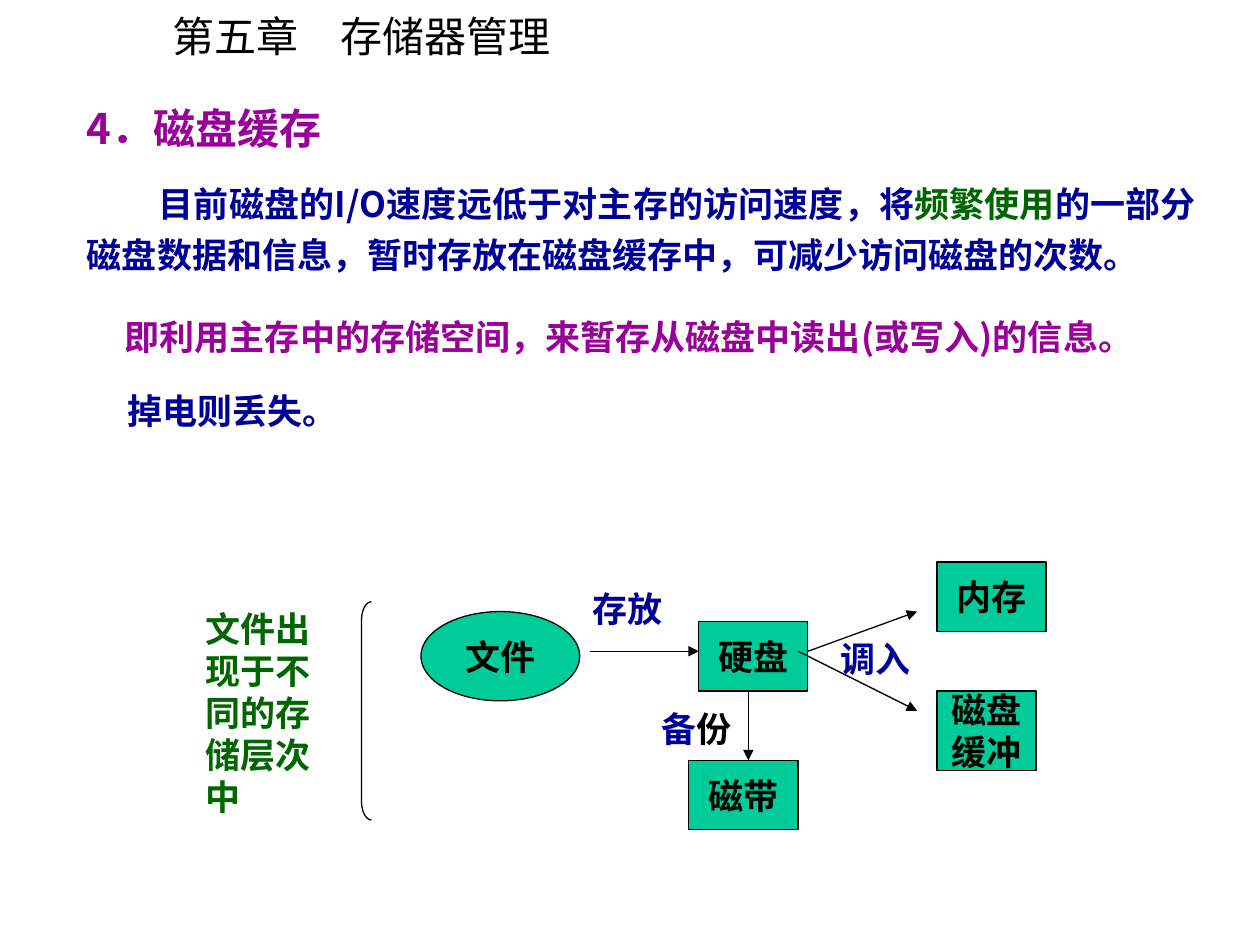
from lxml import etree
from pptx import Presentation
from pptx import util as u
from pptx.dml.color import RGBColor
from pptx.enum import shapes, text
from pptx.oxml.ns import qn

BLACK = RGBColor(0x00, 0x00, 0x00)
BLUE = RGBColor(0x00, 0x00, 0x99)
GREEN = RGBColor(0x00, 0x66, 0x00)
PURPLE = RGBColor(0x99, 0x00, 0x99)
TEAL = RGBColor(0x00, 0xCC, 0x99)
SANS, SERIF = "Noto Sans CJK SC", "Times New Roman"

TITLE = "第五章　存储器管理"
BODY = [
    (0, 0, 24, [("4．磁盘缓存", PURPLE)]),
    (0.57, 12.5, 20, [
        ("目前磁盘的I/O速度远低于对主存的访问速度，将", BLUE),
        ("频繁使用", GREEN),
        ("的一部分磁盘数据和信息，暂时存放在磁盘缓存中，可减少访问磁盘的次数。", BLUE)]),
    (0.3, 18.5, 20, [("即利用主存中的存储空间，来暂存从磁盘中读出(或写入)的信息。", PURPLE)]),
    (0.32, 13.5, 20, [("掉电则丢失。", BLUE)]),
]
KIND = shapes.MSO_SHAPE
NODES = [
    (KIND.OVAL, (23, 5, 16, 9), ["文件"]),
    (KIND.RECTANGLE, (51, 6, 11, 7), ["硬盘"]),
    (KIND.RECTANGLE, (75, 0, 11, 7), ["内存"]),
    (KIND.RECTANGLE, (75, 13, 10, 8), ["磁盘", "缓冲"]),
    (KIND.RECTANGLE, (50, 20, 11, 7), ["磁带"]),
]
LABELS = [
    ((39, 2, 11, 5.5), [("存放", BLUE)]),
    ((64, 7, 11, 5.5), [("调入", BLUE)]),
    ((46, 14, 11, 5.5), [("备", BLUE), ("份", BLACK)]),
    ((0, 4, 16, 22.5), [("文件出现于不同的存储层次中", GREEN)]),
]
ARROWS = [(40, 9, 51, 9), (62, 9, 73, 5), (61, 9, 73, 15), (56, 13, 56, 20)]
BRACE = (17, 4, 1, 22)

deck = Presentation()
deck.slide_width, deck.slide_height = u.Inches(10), u.Inches(7.5)
slide = deck.slides.add_slide(deck.slide_layouts[1])
UNIT = deck.slide_width * 0.63 / 80
LEFT, TOP = u.Inches(1.53), u.Inches(4.46)


def spot(x, y):
    return round(LEFT + x * UNIT), round(TOP + y * UNIT)


def area(x, y, w, h):
    return *spot(x, y), round(w * UNIT), round(h * UNIT)


def apply(item, **kit):
    for key, val in kit.items():
        setattr(item, key, val)


def write(para, runs, size, face, bold=True):
    for words, tone in runs:
        run = para.add_run()
        run.text = words
        apply(run.font, size=u.Pt(size), bold=bold, name=face)
        run.font.color.rgb = tone
        etree.SubElement(run.font._element, qn("a:ea")).set("typeface", SANS)


def place(item, left, top, width, height):
    apply(item, left=u.Inches(left), top=u.Inches(top),
          width=u.Inches(width), height=u.Inches(height))
    frame = item.text_frame
    apply(frame, auto_size=text.MSO_AUTO_SIZE.NONE,
          vertical_anchor=text.MSO_ANCHOR.TOP)
    return frame


def ink(item):
    item.line.color.rgb = BLACK
    item.line.width = u.Pt(0.75)


head = place(slide.shapes.title, 1.27, 0.03, 3.27, 0.5)
head.word_wrap = False
head.paragraphs[0].alignment = text.PP_ALIGN.LEFT
write(head.paragraphs[0], [(TITLE, BLACK)], 24, SANS, False)

body = place(slide.placeholders[1], 0.59, 0.68, 9, 3.36)
for n, (dent, gap, size, runs) in enumerate(BODY):
    para = body.add_paragraph() if n else body.paragraphs[0]
    props = para._p.get_or_add_pPr()
    props.set("marL", "0")
    props.set("indent", str(u.Inches(dent)))
    etree.SubElement(props, qn("a:buNone"))
    apply(para, alignment=text.PP_ALIGN.JUSTIFY, line_spacing=1.2,
          space_before=u.Pt(gap))
    write(para, runs, size, SANS)

for kind, box, lines in NODES:
    node = slide.shapes.add_shape(kind, *area(*box))
    node.shadow.inherit = False
    node.fill.solid()
    node.fill.fore_color.rgb = TEAL
    ink(node)
    frame = node.text_frame
    apply(frame, word_wrap=False, vertical_anchor=text.MSO_ANCHOR.MIDDLE)
    for n, words in enumerate(lines):
        para = frame.add_paragraph() if n else frame.paragraphs[0]
        para.alignment = text.PP_ALIGN.CENTER
        write(para, [(words, BLACK)], 20, SERIF)

for x, y, far, low in ARROWS:
    arrow = slide.shapes.add_connector(
        shapes.MSO_CONNECTOR.STRAIGHT, *spot(x, y), *spot(far, low))
    ink(arrow)
    etree.SubElement(arrow.line._get_or_add_ln(), qn("a:tailEnd")).set("type", "triangle")
    etree.SubElement(arrow._element.spPr, qn("a:effectLst"))

for box, runs in LABELS:
    frame = slide.shapes.add_textbox(*area(*box)).text_frame
    frame.word_wrap = True
    write(frame.paragraphs[0], runs, 20, SERIF)

brace = slide.shapes.add_shape(KIND.LEFT_BRACKET, *area(*BRACE))
brace.shadow.inherit = False
brace.adjustments[0] = 1.9
brace.fill.background()
ink(brace)

deck.save("out.pptx")
